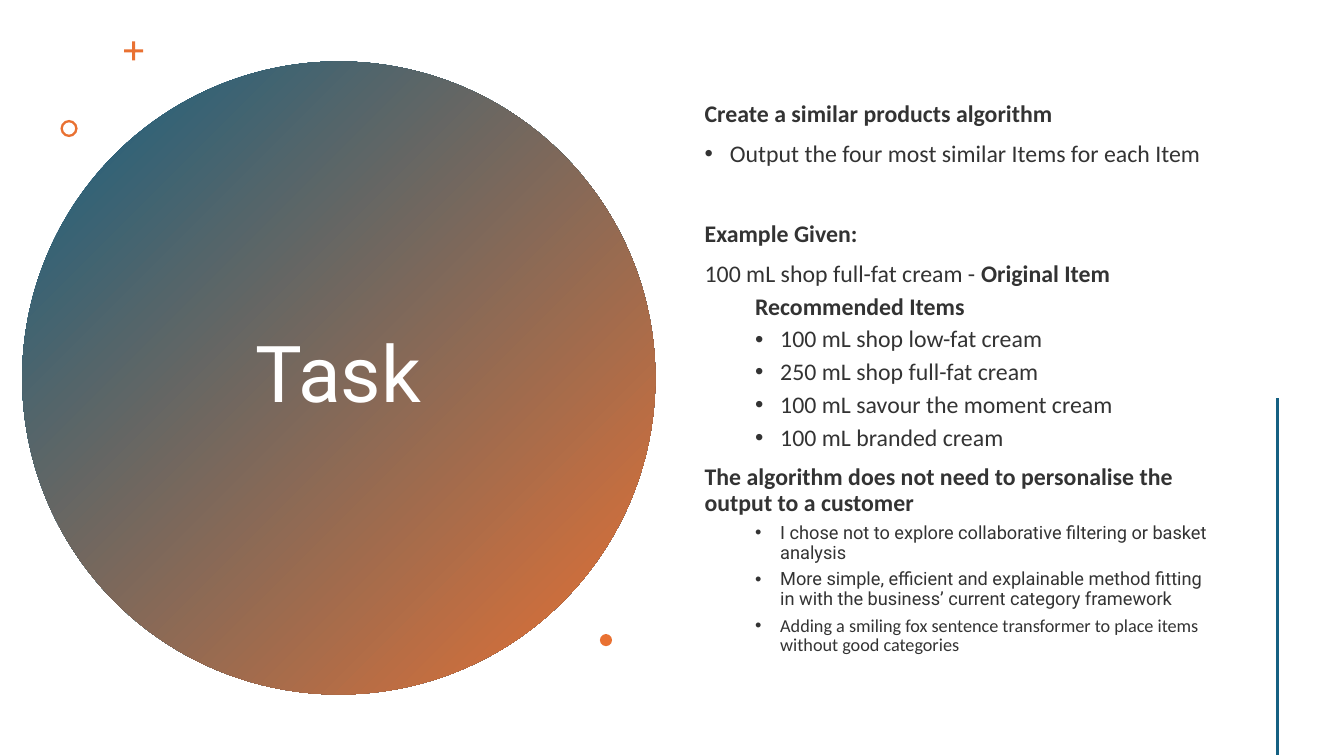
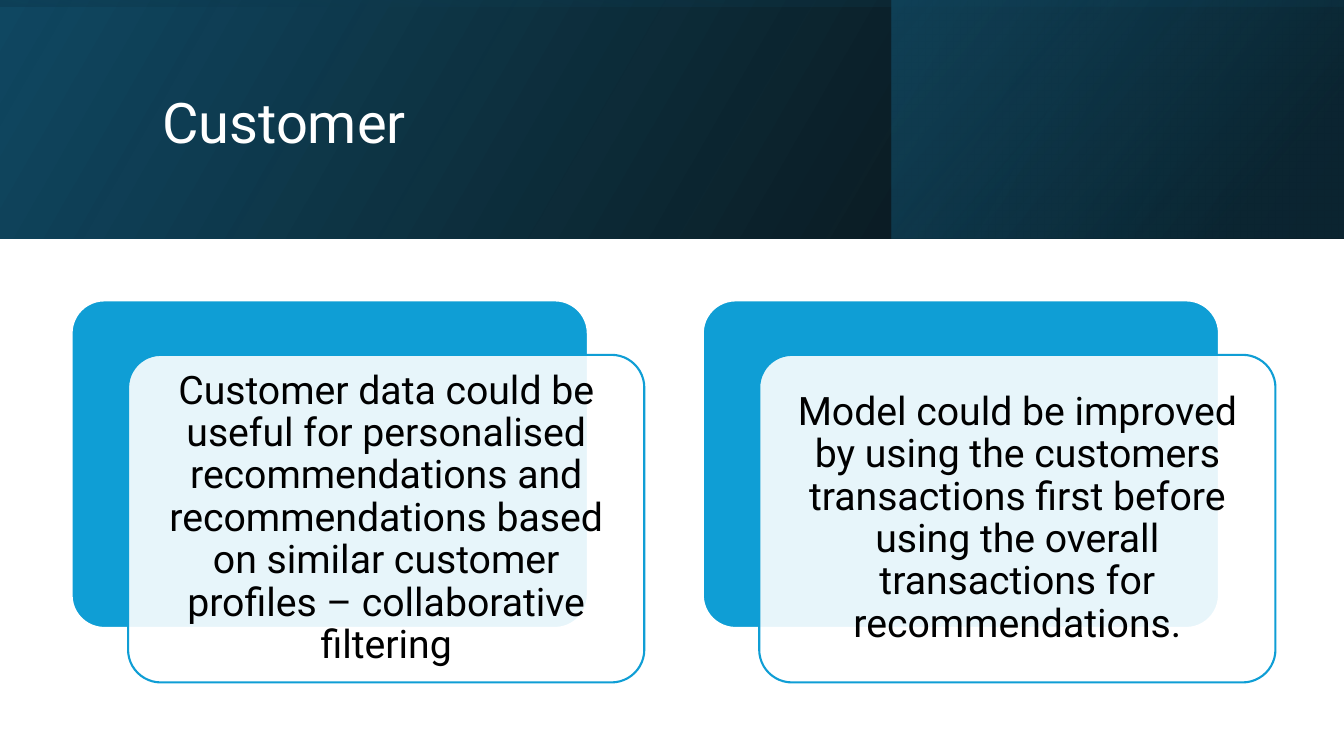
import pptx
import pptx.util
from lxml import etree
from pptx.dml.color import RGBColor
from pptx.enum.shapes import MSO_CONNECTOR, MSO_SHAPE
from pptx.enum.text import MSO_ANCHOR, PP_ALIGN
from pptx.oxml.ns import qn

PX = 9144
PAGE_WIDTH, PAGE_HEIGHT = 1333, 750
BAND_HEIGHT = 237

WHITE = RGBColor(0xFF, 0xFF, 0xFF)
BLACK = RGBColor(0, 0, 0)
INK = RGBColor(0x33, 0x33, 0x33)
TEAL = RGBColor(0x15, 0x60, 0x82)
NAVY = RGBColor(0x10, 0x48, 0x62)
DEEP = RGBColor(0x0B, 0x30, 0x41)
ORANGE = RGBColor(0xE9, 0x71, 0x32)
SKY = RGBColor(0x0F, 0x9E, 0xD5)

HEADING_FONT, BODY_FONT = "Roboto", "Calibri"

# name: (left margin, hanging indent, space before, size, font, bold, bullet)
STYLES = {
    "heading": (0, 0, 10, 17, BODY_FONT, True, False),
    "section": (0, 0, 39, 17, BODY_FONT, True, False),
    "plain": (0, 0, 10, 17, BODY_FONT, False, False),
    "point": (25, 25, 10, 17, BODY_FONT, False, True),
    "subheading": (50, 0, 5, 17, BODY_FONT, True, False),
    "item": (75, 25, 5, 17, BODY_FONT, False, True),
    "note": (75, 25, 5, 13, HEADING_FONT, False, True),
    "last note": (75, 25, 5, 13, BODY_FONT, False, True),
}
TASK_TEXT = [
    ("heading", "Create a similar products algorithm"),
    ("point", "Output the four most similar Items for each Item"),
    ("section", "Example Given:"),
    ("plain", "100 mL shop full-fat cream - ", "Original Item"),
    ("subheading", "Recommended Items"),
    ("item", "100 mL shop low-fat cream"),
    ("item", "250 mL shop full-fat cream"),
    ("item", "100 mL savour the moment cream"),
    ("item", "100 mL branded cream"),
    ("heading", "The algorithm does not need to personalise the output to a customer"),
    ("note", "I chose not to explore collaborative filtering or basket analysis"),
    ("note", "More simple, efficient and explainable method fitting in with the "
             "business’ current category framework"),
    ("last note", "Adding a smiling fox sentence transformer to place items "
                  "without good categories"),
]
ORNAMENTS = [
    (MSO_SHAPE.CROSS, 123, 41, 19, 0.42),
    (MSO_SHAPE.DONUT, 60, 119, 17, 0.14),
    (MSO_SHAPE.OVAL, 595, 629, 12, None),
]
BAND_LAYERS = [
    (0, PAGE_WIDTH, 210, (0, BLACK, 96), (100, NAVY, 100)),
    (884, 449, 220, (19, DEEP, 68), (100, TEAL, 48)),
    (0, PAGE_WIDTH, 100, (23, NAVY, 16), (99, BLACK, 45)),
]
CARDS = [
    "Customer data could be useful for personalised recommendations and "
    "recommendations based on similar customer profiles – collaborative filtering",
    "Model could be improved by using the customers transactions first before "
    "using the overall transactions for recommendations.",
]
CARD_LEFT, CARD_TOP, CARD_WIDTH, CARD_HEIGHT = 71, 298, 512, 325
CARD_PITCH, CARD_SHIFT_X, CARD_SHIFT_Y = 626, 56, 54


def px(*lengths):
    return [pptx.util.Emu(length * PX) for length in lengths]


def set_alpha(shape, *percents):
    colors = shape._element.spPr.iter(qn("a:srgbClr"))
    for color, percent in zip(colors, percents):
        etree.SubElement(color, qn("a:alpha")).set("val", str(percent * 1000))


def add_shape(page, kind, bounds, color=None, adjustment=None):
    shape = page.shapes.add_shape(kind, *px(*bounds))
    shape.shadow.inherit = False
    shape.line.fill.background()
    if color is not None:
        shape.fill.solid()
        shape.fill.fore_color.rgb = color
    if adjustment is not None:
        shape.adjustments[0] = adjustment
    return shape


def add_gradient(page, kind, bounds, angle, stops):
    shape = add_shape(page, kind, bounds)
    shape.fill.gradient()
    shape.fill.gradient_angle = 360 - angle
    for stop, (position, color, opacity) in zip(shape.fill.gradient_stops, stops):
        stop.position = position / 100
        stop.color.rgb = color
    set_alpha(shape, *(stop[2] for stop in stops))


def set_font(para, name, size, color, bold=False):
    para.line_spacing = 0.9
    para.font.name = name
    para.font.size = pptx.util.Pt(size)
    para.font.color.rgb = color
    para.font.bold = bold


def add_box(page, bounds):
    frame = page.shapes.add_textbox(*px(*bounds)).text_frame
    frame.word_wrap = True
    frame.vertical_anchor = MSO_ANCHOR.MIDDLE
    return frame


def add_title(page, text, bounds, size, align):
    para = add_box(page, bounds).paragraphs[0]
    para.text = text
    para.alignment = align
    set_font(para, HEADING_FONT, size, WHITE)


def add_task_text(page):
    frame = add_box(page, (689, 57, 522, 638))
    for index, (style, text, *strong) in enumerate(TASK_TEXT):
        margin, hang, before, size, font, bold, bullet = STYLES[style]
        para = frame.add_paragraph() if index else frame.paragraphs[0]
        para.space_before = pptx.util.Pt(before)
        properties = para._p.get_or_add_pPr()
        properties.set("marL", str(margin * PX))
        properties.set("indent", str(-hang * PX))
        if bullet:
            etree.SubElement(properties, qn("a:buFont")).set("typeface", "Arial")
            etree.SubElement(properties, qn("a:buChar")).set("char", "•")
        set_font(para, font, size, INK, bold)
        para.add_run().text = text
        for words in strong:
            span = para.add_run()
            span.text = words
            span.font.bold = True


def add_side_line(page):
    line = page.shapes.add_connector(MSO_CONNECTOR.STRAIGHT, *px(1267, 395, 1267, 749))
    line.line.color.rgb = TEAL
    line.line.width = pptx.util.Pt(2)
    etree.SubElement(line._element.spPr, qn("a:effectLst"))


def outline(shape, color):
    shape.line.color.rgb = color
    shape.line.width = pptx.util.Pt(1.5)


def add_card(page, index, text):
    left = CARD_LEFT + index * CARD_PITCH
    size = (CARD_WIDTH, CARD_HEIGHT)
    back = add_shape(page, MSO_SHAPE.ROUNDED_RECTANGLE, (left, CARD_TOP, *size), SKY, 0.1)
    outline(back, WHITE)
    corner = (left + CARD_SHIFT_X, CARD_TOP + CARD_SHIFT_Y)
    front = add_shape(page, MSO_SHAPE.ROUNDED_RECTANGLE, (*corner, *size), WHITE, 0.1)
    set_alpha(front, 90)
    outline(front, SKY)
    frame = front.text_frame
    frame.word_wrap = True
    frame.vertical_anchor = MSO_ANCHOR.MIDDLE
    frame.margin_left, frame.margin_top, frame.margin_right, frame.margin_bottom = px(12, 12, 12, 12)
    para = frame.paragraphs[0]
    para.text = text
    para.alignment = PP_ALIGN.CENTER
    set_font(para, HEADING_FONT, 28, BLACK)


def build_task(page):
    add_gradient(page, MSO_SHAPE.OVAL, (22, 61, 628, 628), 45,
                 [(0, TEAL, 100), (100, ORANGE, 100)])
    add_title(page, "Task", (136, 141, 399, 467), 56, PP_ALIGN.CENTER)
    for kind, left, top, size, adjustment in ORNAMENTS:
        add_shape(page, kind, (left, top, size, size), ORANGE, adjustment)
    add_task_text(page)
    add_side_line(page)


def build_customer(page):
    for left, width, angle, *stops in BAND_LAYERS:
        add_gradient(page, MSO_SHAPE.RECTANGLE, (left, 0, width, BAND_HEIGHT), angle, stops)
    add_title(page, "Customer", (151, 38, 1063, 172), 40, PP_ALIGN.LEFT)
    for index, text in enumerate(CARDS):
        add_card(page, index, text)


def main():
    deck = pptx.Presentation()
    deck.slide_width, deck.slide_height = px(PAGE_WIDTH, PAGE_HEIGHT)
    for build in (build_task, build_customer):
        build(deck.slides.add_slide(deck.slide_layouts[6]))
    deck.save("out.pptx")


if __name__ == "__main__":
    main()
